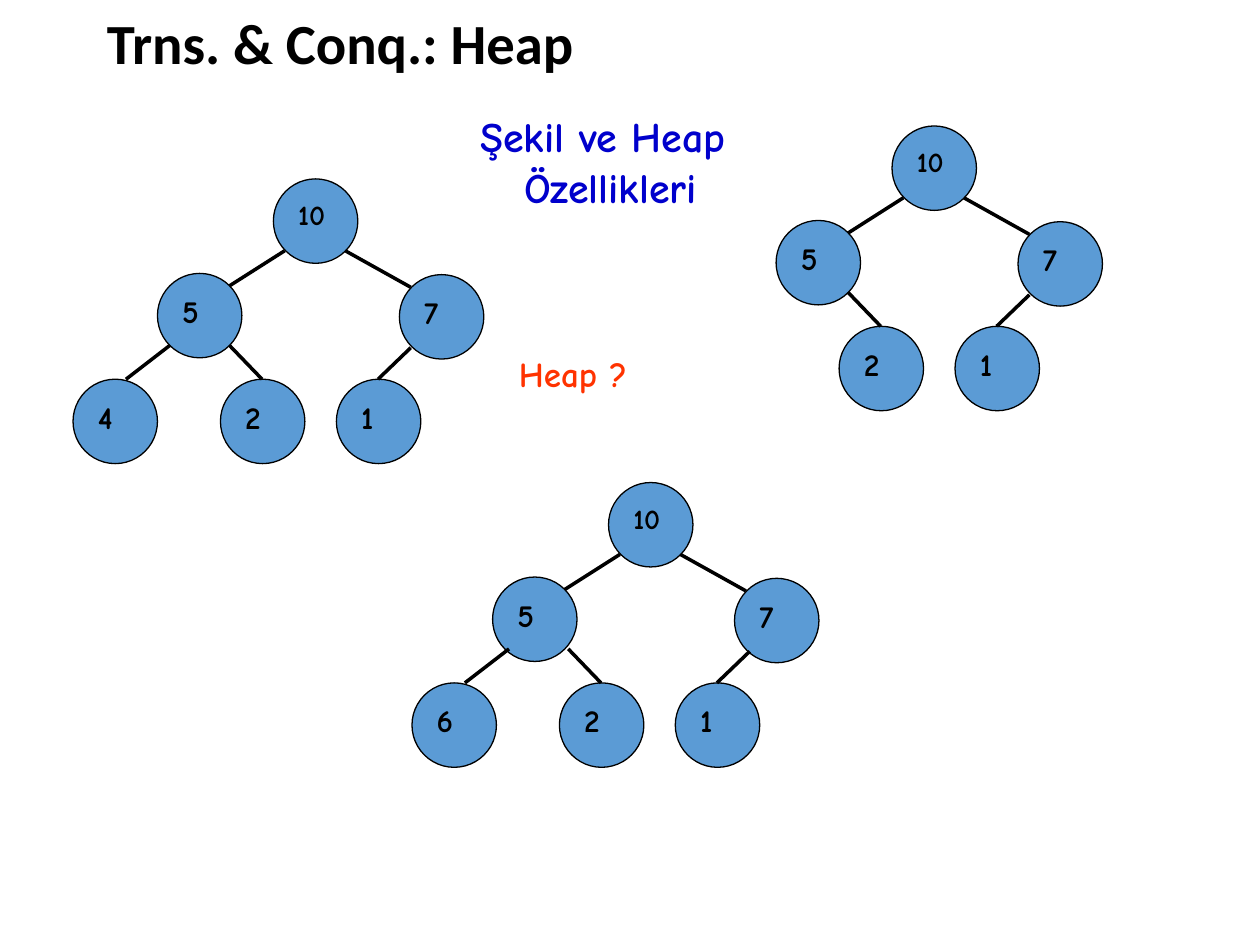
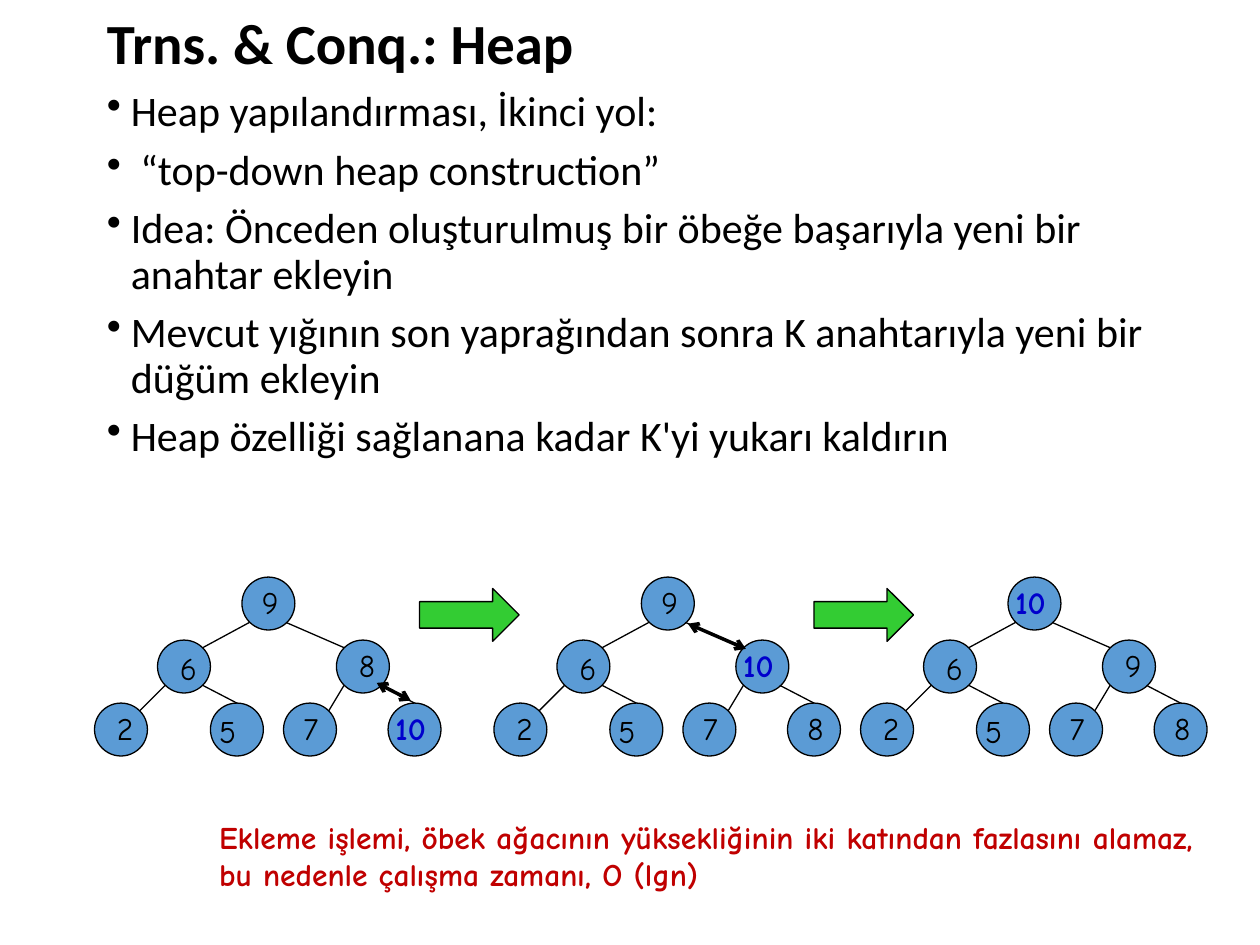
from lxml import etree
from pptx import Presentation
from pptx.dml.color import RGBColor
from pptx.enum import shapes, text
from pptx.oxml import ns
from pptx.util import Inches, Pt

BLACK = RGBColor(0x00, 0x00, 0x00)
NODE_BLUE = RGBColor(0x5B, 0x9B, 0xD5)
KEY_BLUE = RGBColor(0x00, 0x00, 0xCC)
QUESTION_RED = RGBColor(0xFF, 0x33, 0x00)
NOTE_RED = RGBColor(0xC0, 0x00, 0x00)
STEP_GREEN = RGBColor(0x33, 0xCC, 0x33)

TITLE = {"name": "Calibri", "size": Pt(32.4), "bold": True}
BODY = {"name": "Calibri", "size": Pt(24)}
COMIC = {"name": "Comic Neue", "size": Pt(18)}
COMIC_BOLD = {**COMIC, "bold": True}

BIG_NODE = 0.67
BIG_UPPER_NODES = [(0, 0), (-0.92, 0.75), (1, 0.76)]
BIG_LEAVES = [(-1.59, 1.59), (-0.42, 1.59), (0.5, 1.59)]
BIG_UPPER_EDGES = [(0.09, 0.57, -0.35, 0.85), (0.57, 0.57, 1.09, 0.86)]
BIG_LEAF_EDGES = [(-0.82, 1.32, -1.17, 1.59), (-0.35, 1.32, -0.09, 1.59),
                  (1.09, 1.34, 0.83, 1.59)]

SMALL_NODE = 0.42
SMALL_NODES = [(1.17, 0), (0.5, 0.5), (1.92, 0.5),
               (0, 1), (0.92, 1), (1.5, 1), (2.33, 1)]
SMALL_EDGES = [(1.23, 0.36, 0.86, 0.56), (1.52, 0.36, 1.98, 0.56),
               (0.56, 0.86, 0.36, 1.06), (0.86, 0.86, 1.13, 1),
               (1.98, 0.86, 1.86, 1.06), (2.27, 0.86, 2.54, 1)]
LABEL_SHIFTS = [(0.06, 0), (0.08, 0.02), (0.08, 0), (0.08, 0),
                (-0.03, 0.02), (0.06, 0), (0.06, 0)]


def apply(target, values):
    """Set every attribute named in a dict of format values."""
    for name, value in values.items():
        setattr(target, name, value)


def write(frame, lines, font, color, bullet=False, **layout):
    """Fill a text frame with equally formatted paragraphs."""
    for index, line in enumerate(lines):
        para = frame.add_paragraph() if index else frame.paragraphs[0]
        if bullet:
            props = para._p.get_or_add_pPr()
            props.set("marL", str(Inches(0.19)))
            props.set("indent", str(-Inches(0.19)))
            etree.SubElement(props, ns.qn("a:buChar")).set("char", "•")
            if index:
                para.space_before = Pt(7.5)
        apply(para, layout)
        span = para.add_run()
        span.text = line
        apply(span.font, font)
        span.font.color.rgb = color


def add_text(page, box, lines, font, color, wrap=False, grow=True,
             anchor=text.MSO_ANCHOR.TOP, **layout):
    """Add a text box."""
    frame = page.shapes.add_textbox(*map(Inches, box)).text_frame
    apply(frame, {
        "word_wrap": wrap, "vertical_anchor": anchor,
        "auto_size": text.MSO_AUTO_SIZE.SHAPE_TO_FIT_TEXT if grow
        else text.MSO_AUTO_SIZE.NONE})
    write(frame, lines, font, color, **layout)


def add_figure(page, kind, box, fill):
    """Add a filled preset shape with a thin black outline."""
    figure = page.shapes.add_shape(kind, *map(Inches, box))
    figure.shadow.inherit = False
    figure.fill.solid()
    figure.fill.fore_color.rgb = fill
    figure.line.color.rgb = BLACK
    figure.line.width = Pt(0.75)
    return figure


def add_edge(page, left, top, edge, width, arrows=False):
    """Draw a line whose ends are relative to left and top."""
    x1, y1, x2, y2 = edge
    line = page.shapes.add_connector(
        shapes.MSO_CONNECTOR.STRAIGHT, Inches(left + x1), Inches(top + y1),
        Inches(left + x2), Inches(top + y2))
    line.line.color.rgb = BLACK
    line.line.width = Pt(width)
    if arrows:
        for end in ("a:headEnd", "a:tailEnd"):
            etree.SubElement(line.line._get_or_add_ln(), ns.qn(end)).set("type", "arrow")
    etree.SubElement(line._element.spPr, ns.qn("a:effectLst"))


def add_title(page):
    """Add the title shared by the slides."""
    add_text(page, (0.75, 0.08, 7.51, 0.58), ["Trns. & Conq.: Heap"], TITLE, BLACK,
             wrap=True, grow=False, anchor=text.MSO_ANCHOR.MIDDLE, line_spacing=0.9)


def add_big_tree(page, left, top, leaf_keys, leaf_shift=0):
    """Draw a tree from its root's corner; a None key leaves its leaf out."""
    leaves = [(x + leaf_shift, y) for x, y in BIG_LEAVES]
    for key, (x, y) in zip(["10", "5", "7", *leaf_keys], BIG_UPPER_NODES + leaves):
        if key is None:
            continue
        node = add_figure(page, shapes.MSO_SHAPE.OVAL,
                          (left + x, top + y, BIG_NODE, BIG_NODE), NODE_BLUE)
        apply(node.text_frame, {"word_wrap": True,
                                "vertical_anchor": text.MSO_ANCHOR.TOP})
        size = Pt(16 if len(key) > 1 else 18)
        write(node.text_frame, [key], {**COMIC_BOLD, "size": size}, BLACK,
              alignment=text.PP_ALIGN.LEFT)
    for edge in BIG_UPPER_EDGES:
        add_edge(page, left, top, edge, 2)
    for key, edge in zip(leaf_keys, BIG_LEAF_EDGES):
        if key is not None:
            add_edge(page, left + leaf_shift, top, edge, 2)


def add_small_tree(page, left, top, keys, swap=None):
    """Draw a seven-node heap with the inserted key 10 highlighted."""
    for x, y in SMALL_NODES:
        add_figure(page, shapes.MSO_SHAPE.OVAL,
                   (left + x, top + y, SMALL_NODE, SMALL_NODE), NODE_BLUE)
    for edge in SMALL_EDGES:
        add_edge(page, left, top, edge, 0.75)
    for key, (x, y), (dx, dy) in zip(keys, SMALL_NODES, LABEL_SHIFTS):
        inserted = key == "10"
        shift, width = (-0.04, 0.51) if inserted else (dx, 0.36)
        add_text(page, (left + x + shift, top + y + dy, width, 0.4), [key],
                 COMIC_BOLD if inserted else COMIC, KEY_BLUE if inserted else BLACK)
    if swap:
        add_edge(page, left, top, swap, 2, arrows=True)


def build_properties(page):
    """Build the slide asking which trees are heaps."""
    add_title(page)
    add_big_tree(page, 2.17, 1.42, ["4", "2", "1"])
    add_big_tree(page, 7.08, 1, [None, "2", "1"])
    add_big_tree(page, 4.83, 3.83, ["6", "2", "1"], leaf_shift=0.03)
    add_text(page, (4.02, 2.75, 1.16, 0.44), ["Heap ?"],
             {**COMIC_BOLD, "size": Pt(20)}, QUESTION_RED)
    add_text(page, (3.55, 0.83, 2.59, 0.91), ["Şekil ve Heap ", "Özellikleri"],
             {**COMIC_BOLD, "size": Pt(24)}, KEY_BLUE, alignment=text.PP_ALIGN.CENTER)


def build_insertion(page):
    """Build the slide on top-down heap construction."""
    add_title(page)
    add_text(page, (0.75, 0.67, 8.42, 5.33), [
        "Heap yapılandırması, İkinci yol:",
        " “top-down heap construction”",
        "Idea: Önceden oluşturulmuş bir öbeğe başarıyla yeni bir anahtar ekleyin",
        "Mevcut yığının son yaprağından sonra K anahtarıyla yeni bir düğüm ekleyin",
        "Heap özelliği sağlanana kadar K'yi yukarı kaldırın",
    ], BODY, BLACK, wrap=True, grow=False, bullet=True, line_spacing=0.9)
    top = 4.58
    add_small_tree(page, 0.75, top, ["9", "6", "8", "2", "5", "7", "10"],
                   swap=(2.24, 0.84, 2.51, 0.98))
    add_small_tree(page, 3.92, top, ["9", "6", "10", "2", "5", "7", "8"],
                   swap=(1.54, 0.37, 2, 0.57))
    add_small_tree(page, 6.83, top, ["10", "6", "9", "2", "5", "7", "8"])
    for left in (3.33, 6.46):
        add_figure(page, shapes.MSO_SHAPE.RIGHT_ARROW,
                   (left, top + 0.09, 0.79, 0.42), STEP_GREEN)
    add_text(page, (1.64, 6.44, 8.02, 0.71), [
        "Ekleme işlemi, öbek ağacının yüksekliğinin iki katından fazlasını alamaz, "
        "bu nedenle çalışma zamanı, O (lgn)"], COMIC_BOLD, NOTE_RED, wrap=True)


def main():
    """Build and save the deck."""
    deck = Presentation()
    deck.slide_width, deck.slide_height = Inches(10), Inches(7.5)
    for build in (build_properties, build_insertion):
        build(deck.slides.add_slide(deck.slide_layouts[6]))
    deck.save("out.pptx")


if __name__ == "__main__":
    main()
